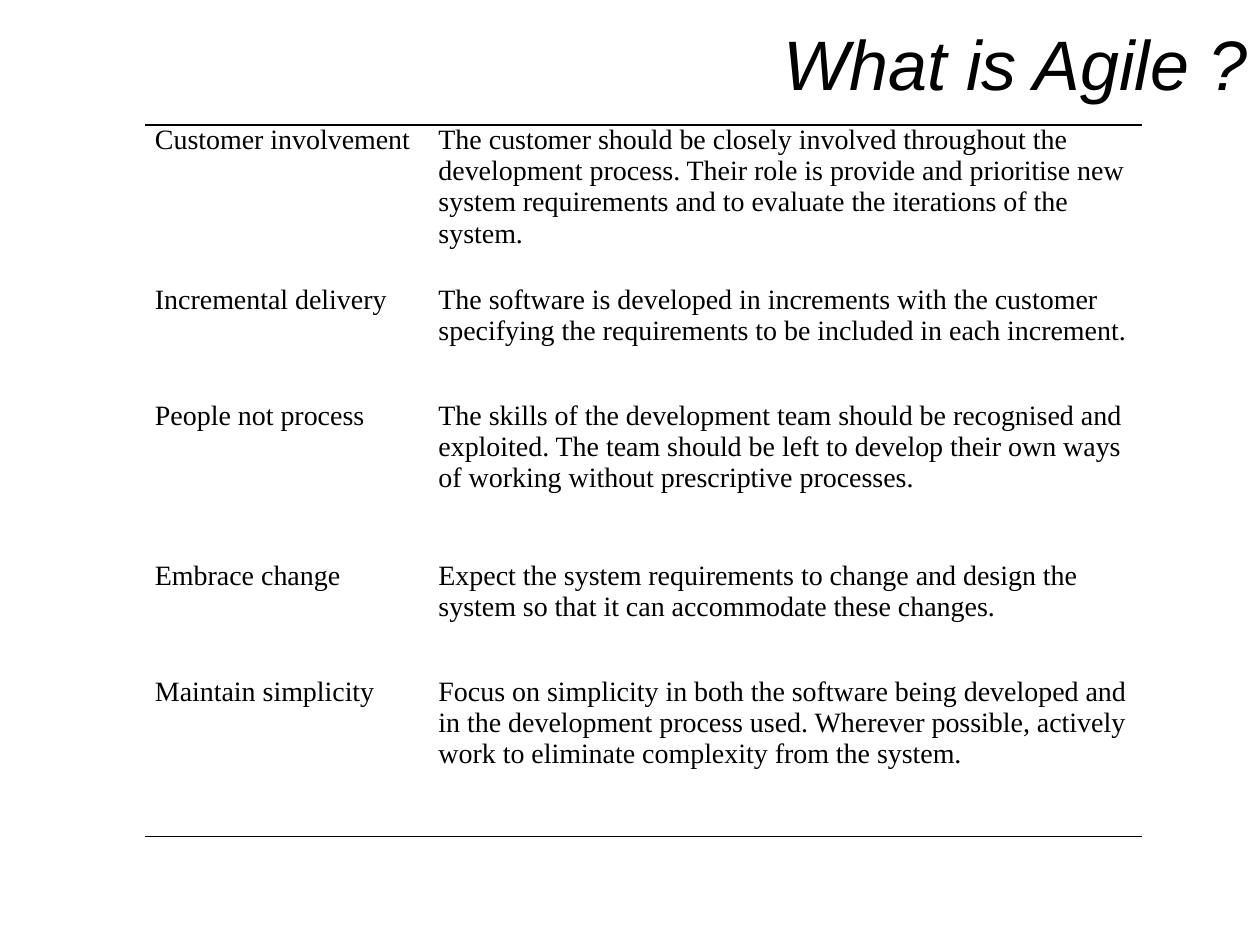
import pptx
import pptx.util
import pptx.dml.color
import pptx.enum.text
import pptx.oxml.ns
from lxml import etree

Inches, Pt = pptx.util.Inches, pptx.util.Pt
SLIDE_WIDTH, SLIDE_HEIGHT = Inches(10), Inches(7.5)
COLORS = {"background": "FFFFFF", "text": "000000", "rule": "000000"}
TITLE_FONT = {"name": "Arial", "size": Pt(40), "italic": True, "bold": False}
CELL_FONT = {"name": "Times New Roman", "size": Pt(16), "bold": False}
CELL_MARGINS = {"margin_left": Inches(0.08), "margin_right": Inches(0.08),
                "margin_top": 0, "margin_bottom": Inches(0.1)}
COLUMN_WIDTHS = (2.25, 5.66)
TALL_ROW, SHORT_ROW = 1.27, 0.92

PRINCIPLES = [
    ("Customer involvement",
     "The customer should be closely involved throughout the development process. "
     "Their role is provide and prioritise new system requirements and to evaluate "
     "the iterations of the system."),
    ("Incremental delivery",
     "The software is developed in increments with the customer specifying the "
     "requirements to be included in each increment."),
    ("People not process",
     "The skills of the development team should be recognised and exploited. The team "
     "should be left to develop their own ways of working without prescriptive processes."),
    ("Embrace change",
     "Expect the system requirements to change and design the system so that it can "
     "accommodate these changes."),
    ("Maintain simplicity",
     "Focus on simplicity in both the software being developed and in the development "
     "process used. Wherever possible, actively work to eliminate complexity from the system."),
]


def set_values(target, values):
    for name, value in values.items():
        setattr(target, name, value)


def rgb(name):
    return pptx.dml.color.RGBColor.from_string(COLORS[name])


def write_text(text_frame, text, font_values):
    paragraph = text_frame.paragraphs[0]
    run = paragraph.add_run()
    run.text = text
    set_values(run.font, font_values)
    run.font.color.rgb = rgb("text")
    return paragraph


def set_borders(cell, ruled_sides):
    """Draw a 1 pt rule on the given sides and clear the others."""
    qn = pptx.oxml.ns.qn
    properties = cell._tc.get_or_add_tcPr()
    for position, side in enumerate("LRTB"):
        line = etree.Element(qn(f"a:ln{side}"), w=str(Pt(1)))
        if side in ruled_sides:
            fill = etree.SubElement(line, qn("a:solidFill"))
            etree.SubElement(fill, qn("a:srgbClr"), val=COLORS["rule"])
        else:
            etree.SubElement(line, qn("a:noFill"))
        properties.insert(position, line)


def format_title(slide, text):
    title = slide.shapes.title
    set_values(title, {"left": Inches(2.17), "top": 0,
                       "width": SLIDE_WIDTH - Inches(2.17), "height": Inches(1.08)})
    set_values(title.text_frame, {
        "word_wrap": True, "vertical_anchor": pptx.enum.text.MSO_ANCHOR.MIDDLE,
        "margin_left": Inches(0.1), "margin_right": Inches(0.1),
        "margin_top": Inches(0.05), "margin_bottom": Inches(0.05)})
    paragraph = write_text(title.text_frame, text, TITLE_FONT)
    set_values(paragraph, {"alignment": pptx.enum.text.PP_ALIGN.RIGHT, "line_spacing": 0.9})


def add_principles_table(slide, rows):
    heights = [SHORT_ROW if index % 2 else TALL_ROW for index in range(len(rows))]
    table = slide.shapes.add_table(
        len(rows), len(COLUMN_WIDTHS), Inches(1.15), Inches(0.99),
        Inches(sum(COLUMN_WIDTHS)), Inches(sum(heights))).table
    set_values(table, {"first_row": False, "horz_banding": False})
    for column, width in zip(table.columns, COLUMN_WIDTHS):
        column.width = Inches(width)
    for row_index, (row, height) in enumerate(zip(table.rows, heights)):
        row.height = Inches(height)
        # Only the outer top and bottom edges carry a rule
        ruled_sides = {0: "T", len(rows) - 1: "B"}.get(row_index, "")
        for cell, text in zip(row.cells, rows[row_index]):
            set_values(cell, CELL_MARGINS)
            cell.fill.background()
            set_borders(cell, ruled_sides)
            write_text(cell.text_frame, text, CELL_FONT)


def main():
    presentation = pptx.Presentation()
    set_values(presentation, {"slide_width": SLIDE_WIDTH, "slide_height": SLIDE_HEIGHT})
    slide = presentation.slides.add_slide(presentation.slide_layouts[5])
    slide.background.fill.solid()
    slide.background.fill.fore_color.rgb = rgb("background")
    format_title(slide, "What is Agile ?")
    add_principles_table(slide, PRINCIPLES)
    presentation.save("out.pptx")


if __name__ == "__main__":
    main()
